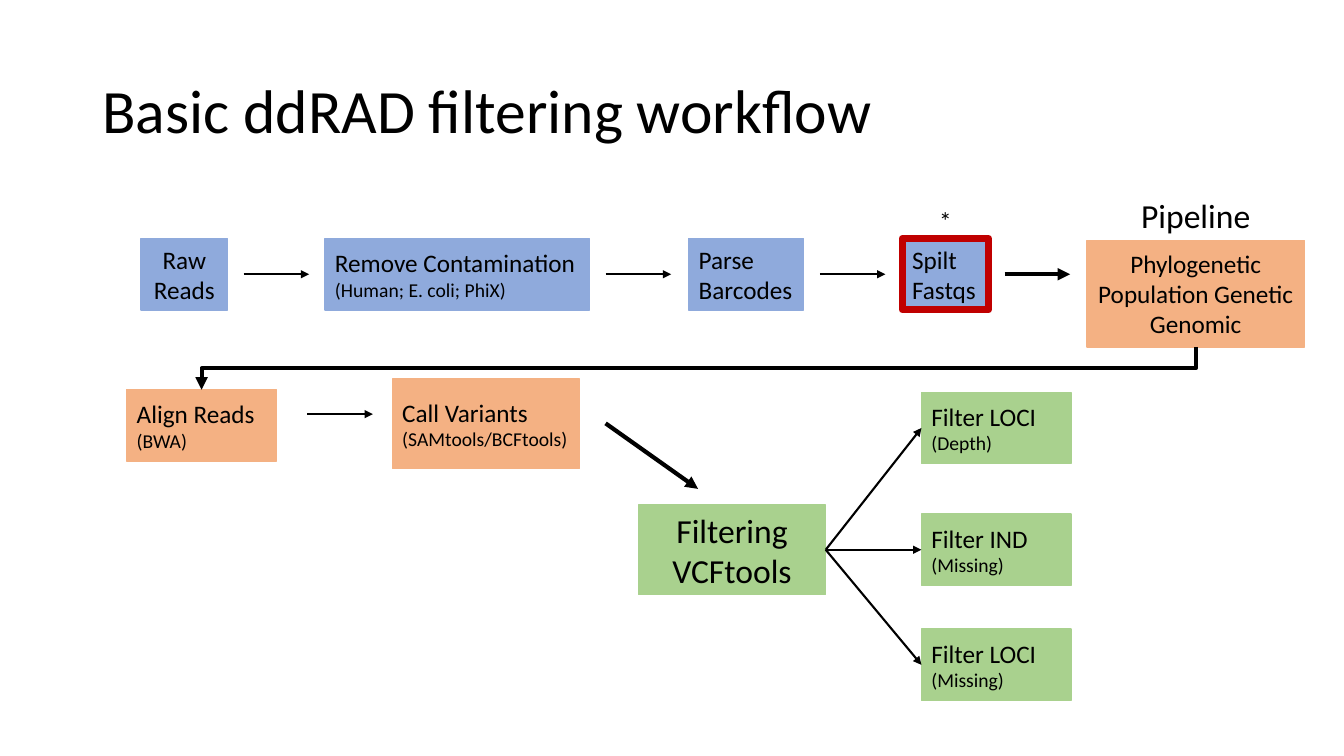
from collections import namedtuple

from lxml import etree
from pptx import Presentation
from pptx.dml.color import RGBColor
from pptx.enum.shapes import MSO_CONNECTOR, MSO_SHAPE
from pptx.enum.text import MSO_ANCHOR, PP_ALIGN
from pptx.oxml.ns import qn
from pptx.util import Inches, Pt

STRAIGHT, ELBOW = MSO_CONNECTOR.STRAIGHT, MSO_CONNECTOR.ELBOW
RECTANGLE = MSO_SHAPE.RECTANGLE
LEFT, CENTER = PP_ALIGN.LEFT, PP_ALIGN.CENTER
TOP, MIDDLE = MSO_ANCHOR.TOP, MSO_ANCHOR.MIDDLE

BLACK = RGBColor(0x00, 0x00, 0x00)
BLUE = RGBColor(0x8F, 0xAA, 0xDC)
ORANGE = RGBColor(0xF4, 0xB1, 0x83)
GREEN = RGBColor(0xA9, 0xD1, 0x8E)
RED = RGBColor(0xC0, 0x00, 0x00)

FONT = "Calibri"
SLIDE_WIDTH, SLIDE_HEIGHT = Inches(13.333), Inches(7.5)
COLUMN, ROW = SLIDE_WIDTH / 160, SLIDE_HEIGHT / 90

# Connection sites of a rectangle
SITE_TOP, SITE_LEFT, SITE_BOTTOM, SITE_RIGHT = range(4)

STEP_HEIGHT = 8.5
ARROW_LENGTH, ARROW_GAP = 7.8, 1.9
THIN, THICK = 1.5, 3

# Left, top, width and height in grid columns and rows
Box = namedtuple("Box", "left top width height")


def within(region, left, top, width, height):
    """Box at an offset from the region's top left corner."""
    return Box(region.left + left, region.top + top, width, height)


def emu(box):
    return (round(box.left * COLUMN), round(box.top * ROW),
            round(box.width * COLUMN), round(box.height * ROW))


def write(shape, lines, align=LEFT, anchor=MIDDLE, spacing=1.0):
    """Fill the shape with (text, size) lines, one paragraph each."""
    frame = shape.text_frame
    frame.word_wrap = True
    frame.vertical_anchor = anchor
    for index, (text, size) in enumerate(lines):
        paragraph = frame.add_paragraph() if index else frame.paragraphs[0]
        paragraph.alignment = align
        paragraph.line_spacing = spacing
        run = paragraph.add_run()
        run.text = text
        run.font.name = FONT
        run.font.size = Pt(size)
        run.font.color.rgb = BLACK


def add_label(slide, box, text, size, **layout):
    write(slide.shapes.add_textbox(*emu(box)), [(text, size)], **layout)


def add_step(slide, box, lines, fill, align=LEFT, border=None):
    step = slide.shapes.add_shape(RECTANGLE, *emu(box))
    step.shadow.inherit = False
    step.fill.solid()
    step.fill.fore_color.rgb = fill
    step.line.color.rgb = border or fill
    step.line.width = Pt(5 if border else 1)
    write(step, lines, align)
    return step


def add_arrow(slide, start=(0, 0), end=(0, 0), width=THIN, kind=STRAIGHT):
    arrow = slide.shapes.add_connector(
        kind, round(start[0] * COLUMN), round(start[1] * ROW),
        round(end[0] * COLUMN), round(end[1] * ROW))
    arrow.line.color.rgb = BLACK
    arrow.line.width = Pt(width)
    etree.SubElement(arrow.line._get_or_add_ln(), qn("a:tailEnd"), type="triangle")
    etree.SubElement(arrow._element.spPr, qn("a:effectLst"))
    return arrow


def add_arrow_right(slide, left, middle, width=THIN):
    add_arrow(slide, (left, middle), (left + ARROW_LENGTH, middle), width)


def add_return_arrow(slide, source, target):
    """Elbow arrow that leaves downwards and enters the target from above."""
    arrow = add_arrow(slide, width=THICK, kind=ELBOW)
    arrow.begin_connect(source, SITE_BOTTOM)
    arrow.end_connect(target, SITE_TOP)
    across, down = arrow.width, arrow.height
    center_x, center_y = arrow.left + across // 2, arrow.top + down // 2
    arrow.left, arrow.top = center_x - down // 2, center_y - across // 2
    arrow.width, arrow.height = down, across
    # A quarter turn makes the elbow start and end vertically
    frame = arrow._element.spPr.find(qn("a:xfrm"))
    frame.attrib.pop("flipH", None)
    frame.set("rot", str(90 * 60000))


def add_read_preparation(slide, region):
    steps = [
        (0, 10.3, [("Raw Reads", 18)], CENTER, None, THIN),
        (21.9, 31.5, [("Remove Contamination", 18),
                      ("(Human; E. coli; PhiX)", 14)], LEFT, None, THIN),
        (65.2, 13.7, [("Parse", 18), ("Barcodes", 18)], LEFT, None, THIN),
        (90.6, 10.3, [("Spilt", 18), ("Fastqs", 18)], LEFT, RED, THICK),
    ]
    row_top = region.height - STEP_HEIGHT
    for left, width, lines, align, border, arrow_width in steps:
        box = within(region, left, row_top, width, STEP_HEIGHT)
        add_step(slide, box, lines, BLUE, align, border)
        add_arrow_right(slide, box.left + width + ARROW_GAP,
                        box.top + STEP_HEIGHT / 2, arrow_width)
    add_label(slide, within(region, left, 0, width, 4.8), "*", 18,
              align=CENTER, anchor=TOP)


def add_pipeline(slide, region):
    add_label(slide, within(region, 0, 0, region.width, 6), "Pipeline", 24,
              align=CENTER, anchor=TOP)
    fields = ["Phylogenetic", "Population Genetic", "Genomic"]
    return add_step(slide, within(region, 0, 6, region.width, region.height - 6),
                    [(field, 18) for field in fields], ORANGE, CENTER)


def add_variant_calling(slide, region):
    align_reads = add_step(slide, within(region, 0, 1.3, 17.8, STEP_HEIGHT),
                           [("Align Reads", 18), ("(BWA)", 14)], ORANGE)
    add_step(slide, within(region, 31.6, 0, 22.3, region.height),
             [("Call Variants", 18), ("(SAMtools/BCFtools)", 14)], ORANGE)
    add_arrow_right(slide, region.left + 21.5, region.top + 4.2)
    add_arrow(slide, (region.left + 57, region.top + 5.3),
              (region.left + 68, region.top + 13.1), THICK)
    return align_reads


def add_filtering(slide, region):
    hub = add_step(slide, within(region, 0, 13.4, 22.3, 10.7),
                   [("Filtering", 24), ("VCFtools", 24)], GREEN, CENTER)
    filters = [(0, "Filter LOCI", "(Depth)"),
               (14.5, "Filter IND", "(Missing)"),
               (28.2, "Filter LOCI", "(Missing)")]
    for top, name, criterion in filters:
        outcome = add_step(slide, within(region, 33.7, top, 17.8, STEP_HEIGHT),
                           [(name, 18), (criterion, 14)], GREEN)
        arrow = add_arrow(slide)
        arrow.begin_connect(hub, SITE_RIGHT)
        arrow.end_connect(outcome, SITE_LEFT)


def main():
    deck = Presentation()
    deck.slide_width, deck.slide_height = SLIDE_WIDTH, SLIDE_HEIGHT
    slide = deck.slides.add_slide(deck.slide_layouts[6])

    add_label(slide, Box(11, 4.8, 138, 17.4), "Basic ddRAD filtering workflow",
              44, spacing=0.9)
    add_read_preparation(slide, Box(16.8, 23.9, 111, 13))
    pipeline = add_pipeline(slide, Box(129.4, 22.6, 25.9, 18.7))
    align_reads = add_variant_calling(slide, Box(15.1, 45.1, 68, 10.7))
    add_return_arrow(slide, pipeline, align_reads)
    add_filtering(slide, Box(76, 46.7, 51.5, 36.7))

    deck.save("out.pptx")


if __name__ == "__main__":
    main()
